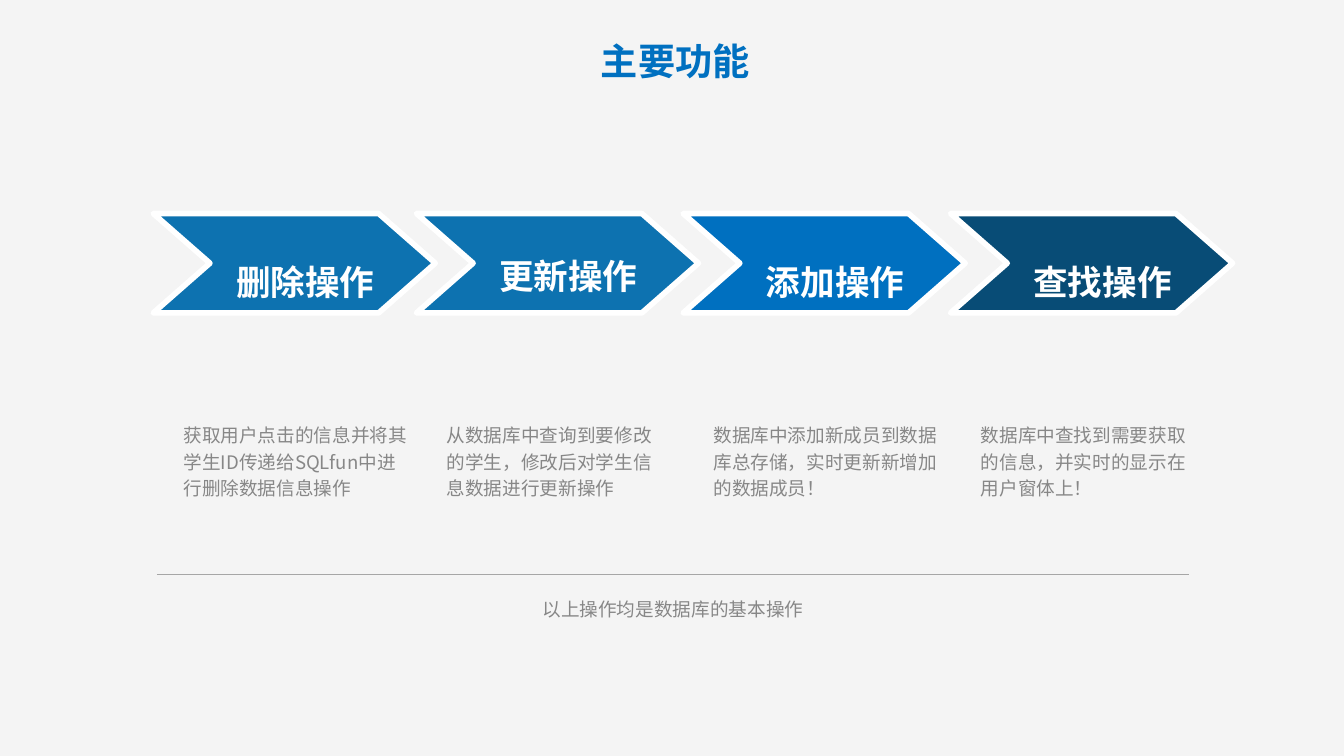
from lxml import etree
from pptx import Presentation
from pptx.dml.color import RGBColor
from pptx.enum.shapes import MSO_CONNECTOR
from pptx.enum.text import MSO_ANCHOR, MSO_AUTO_SIZE, PP_ALIGN
from pptx.oxml.ns import qn
from pptx.util import Pt

STRAIGHT = MSO_CONNECTOR.STRAIGHT
TOP, MIDDLE = MSO_ANCHOR.TOP, MSO_ANCHOR.MIDDLE
LEFT, CENTER = PP_ALIGN.LEFT, PP_ALIGN.CENTER
GROW = MSO_AUTO_SIZE.SHAPE_TO_FIT_TEXT

BACKGROUND = RGBColor(0xF4, 0xF4, 0xF4)
WHITE = RGBColor(0xFF, 0xFF, 0xFF)
BLUE = RGBColor(0x00, 0x70, 0xC0)
MID_BLUE = RGBColor(0x0D, 0x72, 0xB0)
DARK_BLUE = RGBColor(0x08, 0x4C, 0x76)
GREY = RGBColor(0x87, 0x87, 0x87)
RULE_GREY = RGBColor(0xA6, 0xA6, 0xA6)

SANS = "Noto Sans CJK SC"
TITLE_FONT = {"size": Pt(26.6), "bold": True, "name": SANS}
LABEL_FONT = {"size": Pt(42.6), "bold": True, "name": "Arial"}
BODY_FONT = {"size": Pt(13.3), "bold": False, "name": SANS}

ARROW_TOP, ARROW_WIDTH, ARROW_HEIGHT, ARROW_NOTCH = 152.5, 201.5, 71, 40.5
BODY_TOP, BODY_INDENT = 296, 14.5
STEPS = [
    (109.5, MID_BLUE, "删除操作", (164, 47.5, 1.2), 177,
     "获取用户点击的信息并将其学生ID传递给SQLfun中进行删除数据信息操作"),
    (297.5, MID_BLUE, "更新操作", (168, 41, 1), 173.5,
     "从数据库中查询到要修改的学生，修改后对学生信息数据进行更新操作"),
    (488, BLUE, "添加操作", (164, 47.5, 1.2), 176,
     "数据库中添加新成员到数据库总存储，实时更新新增加的数据成员！"),
    (679, DARK_BLUE, "查找操作", (164, 47.5, 1.2), 173.5,
     "数据库中查找到需要获取的信息，并实时的显示在用户窗体上！"),
]


def write_text(shape, text, font, color, align=LEFT, anchor=TOP,
               margins=(0, 0), spacing=1, wrap=True):
    """Fill a shape with one formatted paragraph and return its run."""
    frame = shape.text_frame
    across, down = (Pt(margin) for margin in margins)
    layout = {"word_wrap": wrap, "auto_size": GROW, "vertical_anchor": anchor,
              "margin_left": across, "margin_right": across,
              "margin_top": down, "margin_bottom": down}
    for name, value in layout.items():
        setattr(frame, name, value)
    para = frame.paragraphs[0]
    para.alignment = align
    para.line_spacing = spacing
    span = para.add_run()
    span.text = text
    for name, value in font.items():
        setattr(span.font, name, value)
    span.font.color.rgb = color
    east_asian = etree.SubElement(span._r.get_or_add_rPr(), qn("a:ea"))
    east_asian.set("typeface", font["name"])
    return span


def add_text(page, box, *args, **options):
    """Place a text box and write into it."""
    shape = page.shapes.add_textbox(*map(Pt, box))
    return write_text(shape, *args, **options)


def add_title(page, box):
    """Move and fill the title placeholder."""
    title = page.shapes.title
    title.left, title.top, title.width, title.height = map(Pt, box)
    write_text(title, "主要功能", TITLE_FONT, BLUE, align=CENTER, wrap=False)


def add_arrow(page, box, color):
    """Draw one notched arrow inside its box."""
    left, top, width, height = box
    right, middle, bottom = left + width, top + height / 2, top + height
    builder = page.shapes.build_freeform(Pt(left), Pt(top))
    corners = [(right - ARROW_NOTCH, top), (right, middle),
               (right - ARROW_NOTCH, bottom), (left, bottom),
               (left + ARROW_NOTCH, middle)]
    builder.add_line_segments([(Pt(x), Pt(y)) for x, y in corners], close=True)
    arrow = builder.convert_to_shape()
    arrow.shadow.inherit = False
    arrow.fill.solid()
    arrow.fill.fore_color.rgb = color
    arrow.line.color.rgb = WHITE
    arrow.line.width = Pt(4)


def add_step(page, left, color, label, label_place, body_width, body):
    """Draw an arrow with its label and the description below."""
    add_arrow(page, (left, ARROW_TOP, ARROW_WIDTH, ARROW_HEIGHT), color)
    label_top, label_height, spacing = label_place
    span = add_text(page, (left + 23, label_top, 171, label_height), label,
                    LABEL_FONT, WHITE, align=CENTER, anchor=MIDDLE,
                    spacing=spacing)
    span._r.get_or_add_rPr().set("baseline", "-3000")
    add_text(page, (left + BODY_INDENT, BODY_TOP, body_width, 64), body,
             BODY_FONT, GREY, margins=(7.2, 3.6), spacing=1.2)


def add_summary(page, box):
    """Draw the rule and the centred closing line under it."""
    left, top, width, height = box
    rule = page.shapes.add_connector(
        STRAIGHT, Pt(left), Pt(top), Pt(left + width), Pt(top))
    rule.line.color.rgb = RULE_GREY
    rule.line.width = Pt(0.5)
    etree.SubElement(rule._element.spPr, qn("a:effectLst"))
    add_text(page, (left, top + 10, width, height - 10),
             "以上操作均是数据库的基本操作", BODY_FONT, GREY, align=CENTER,
             margins=(7.2, 3.6), spacing=1.2)


def main():
    """Build the slide and save the deck."""
    deck = Presentation()
    deck.slide_width, deck.slide_height = Pt(960), Pt(540)
    page = deck.slides.add_slide(deck.slide_layouts[5])
    page.background.fill.solid()
    page.background.fill.fore_color.rgb = BACKGROUND
    add_title(page, (422, 27.5, 121, 39.5))
    for step in STEPS:
        add_step(page, *step)
    add_summary(page, (112, 410.5, 737.5, 36.5))
    deck.save("out.pptx")


if __name__ == "__main__":
    main()
